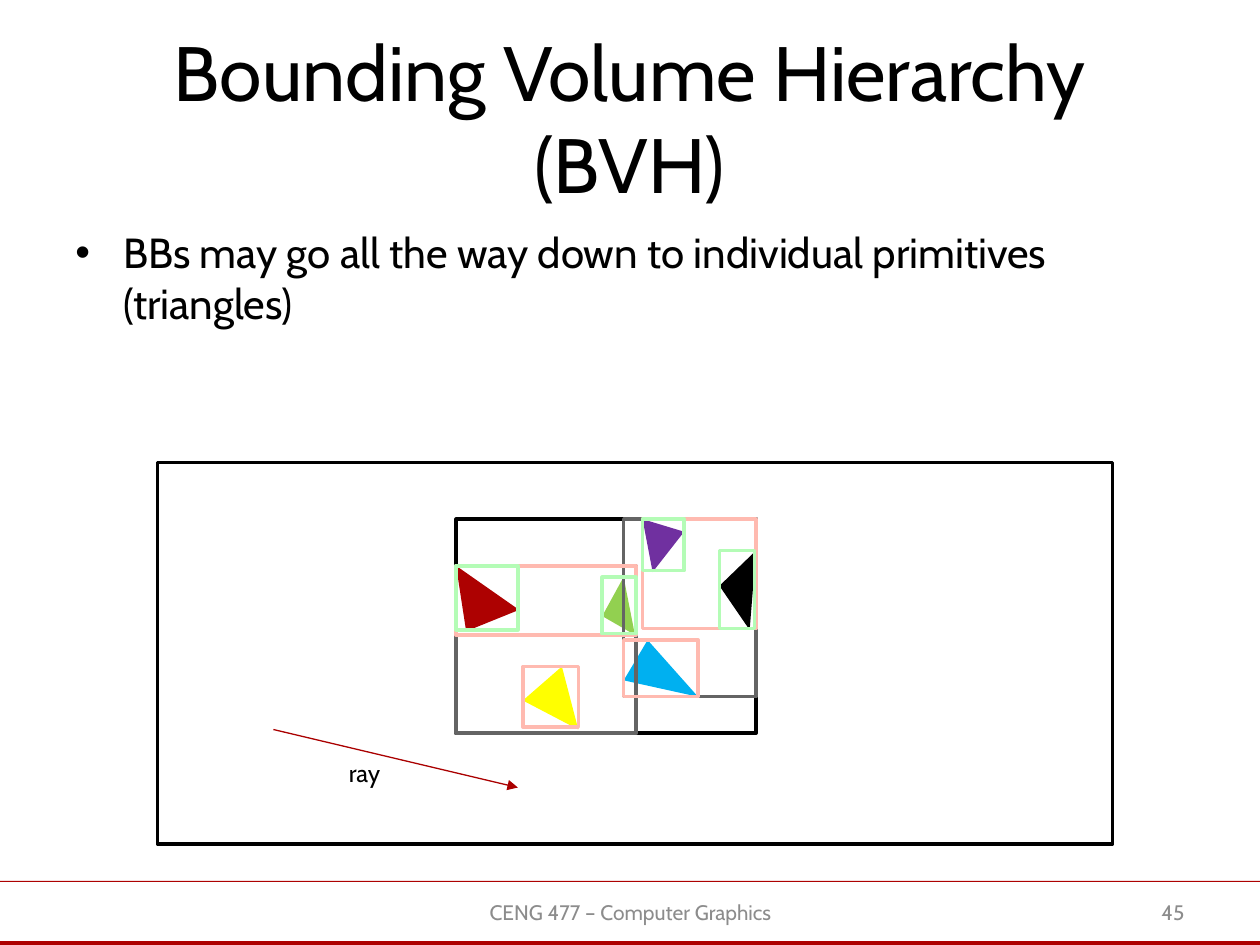
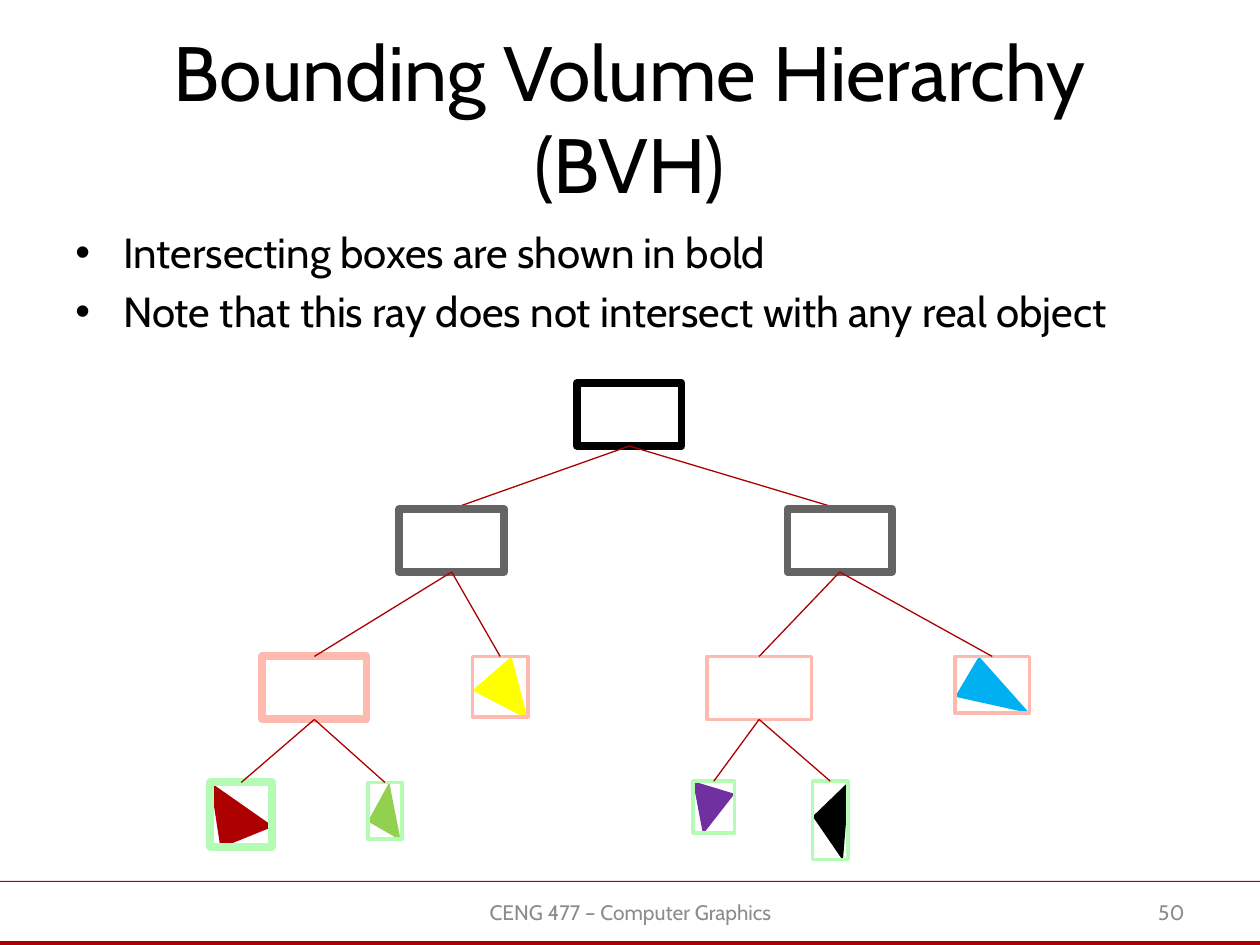
import pptx
import pptx.dml.color
import pptx.enum.shapes
import pptx.enum.text
import pptx.oxml
import pptx.oxml.ns
import pptx.shapes.connector
import pptx.util

Inches = pptx.util.Inches
Pt = pptx.util.Pt
RECT = pptx.enum.shapes.MSO_SHAPE.RECTANGLE
STRAIGHT = pptx.enum.shapes.MSO_CONNECTOR.STRAIGHT
ALIGN = pptx.enum.text.PP_ALIGN
ANCHOR = pptx.enum.text.MSO_ANCHOR

FONT = "Cabin"
BLACK, GRAY, PINK, GREEN = "000000", "646464", "FFBAB0", "B4FCB6"
BAND, LINE, FOOTER = "AD0101", "AA0000", "8C8C8C"
A_NS = 'xmlns:a="http://schemas.openxmlformats.org/drawingml/2006/main"'


def rgb(value):
    return pptx.dml.color.RGBColor.from_string(value)


def add_text(s, text, box, size, color=BLACK, align=ALIGN.LEFT,
             anchor=ANCHOR.TOP, wrap=True, bullet=False):
    tf = s.shapes.add_textbox(*map(Inches, box)).text_frame
    tf.word_wrap = wrap
    tf.auto_size = pptx.enum.text.MSO_AUTO_SIZE.NONE
    tf.vertical_anchor = anchor
    for i, line in enumerate(text.split("\n")):
        p = tf.paragraphs[0] if i == 0 else tf.add_paragraph()
        p.alignment = align
        if i:
            p.space_before = Pt(size * 0.2)
        if bullet:
            pPr = p._p.get_or_add_pPr()
            pPr.set("marL", str(Inches(0.38)))
            pPr.set("indent", str(Inches(-0.38)))
            pPr.append(pptx.oxml.parse_xml(f'<a:buFont {A_NS} typeface="Arial"/>'))
            pPr.append(pptx.oxml.parse_xml(f'<a:buChar {A_NS} char="•"/>'))
        r = p.add_run()
        r.text = line
        r.font.name = FONT
        r.font.size = Pt(size)
        r.font.color.rgb = rgb(color)


# Primitives: box width, height, box colour, triangle colour, corners from box corner
leaves = {
    "yellow": (0.44, 0.48, PINK, "FFFF00", [(0.31, 0), (0, 0.27), (0.44, 0.5)]),
    "blue": (0.59, 0.45, PINK, "00B0F0", [(0.19, 0), (0, 0.32), (0.59, 0.45)]),
    "red": (0.49, 0.51, GREEN, BAND, [(0.08, 0.52), (0, 0), (0.5, 0.35)]),
    "green": (0.27, 0.45, GREEN, "92D050", [(0.17, 0), (0, 0.31), (0.26, 0.46)]),
    "black": (0.28, 0.62, GREEN, BLACK, [(0.29, 0), (0, 0.28), (0.24, 0.63)]),
    "purple": (0.33, 0.41, GREEN, "7030A0", [(0, 0), (0.08, 0.42), (0.33, 0.1)]),
}

# Nested boxes in the scene: name, x, y, w, h, colour, line width, parent to join
scene_boxes = [
    ("root", 3.62, 4.12, 2.38, 1.7, BLACK, 2, None),
    ("left", 3.62, 4.49, 1.43, 1.33, GRAY, 2, None),
    ("right", 4.95, 4.12, 1.05, 1.41, GRAY, 2, None),
    ("left pair", 3.62, 4.49, 1.43, 0.55, PINK, 2, None),
    ("right pair", 5.1, 4.12, 0.9, 0.87, PINK, 2, None),
]
# Where each primitive sits: x, y, line width, parent to join
scene_leaves = {
    "yellow": (4.15, 5.29, 2, None), "blue": (4.95, 5.08, 2, None),
    "red": (3.62, 4.49, 2, None), "green": (4.78, 4.58, 2, None),
    "black": (5.71, 4.37, 2, None), "purple": (5.1, 4.12, 2, None),
}

# The same hierarchy as a tree, hit boxes with thick lines
tree_boxes = [
    ("root", 4.58, 3.04, 0.83, 0.5, BLACK, 4.5, None),
    ("left", 3.17, 4.04, 0.83, 0.5, GRAY, 4.5, "root"),
    ("right", 6.25, 4.04, 0.83, 0.5, GRAY, 4.5, "root"),
    ("left pair", 2.08, 5.21, 0.83, 0.5, PINK, 4.5, "left"),
    ("right pair", 5.61, 5.21, 0.83, 0.5, PINK, 2, "right"),
]
tree_leaves = {
    "yellow": (3.75, 5.21, 2, "left"), "blue": (7.58, 5.21, 2, "right"),
    "red": (1.67, 6.21, 4.5, "left pair"), "green": (2.92, 6.21, 2, "left pair"),
    "black": (6.45, 6.2, 2, "right pair"), "purple": (5.5, 6.2, 2, "right pair"),
}

pages = [
    ("45", "BBs may go all the way down to individual primitives (triangles)",
     scene_boxes, scene_leaves),
    ("50", "Intersecting boxes are shown in bold\n"
     "Note that this ray does not intersect with any real object",
     tree_boxes, tree_leaves),
]

prs = pptx.Presentation()
prs.slide_width, prs.slide_height = Inches(10), Inches(7.5)

for number, bullets, boxes, spots in pages:
    s = prs.slides.add_slide(prs.slide_layouts[6])
    styled = []  # shape, fill, line colour, line width

    # Bands, title, body and footer
    for y, h in [(6.99, 0.01), (7.47, 0.03)]:
        sp = s.shapes.add_shape(RECT, 0, Inches(y), Inches(10), Inches(h))
        styled.append((sp, BAND, None, 0))
    add_text(s, "Bounding Volume Hierarchy (BVH)", (0.5, 0.3, 9, 1.25), 44,
             align=ALIGN.CENTER, anchor=ANCHOR.MIDDLE)
    add_text(s, bullets, (0.5, 1.75, 9, 4.95), 24, bullet=True)
    add_text(s, "CENG 477 – Computer Graphics", (3.42, 7.04, 3.17, 0.4), 12,
             color=FOOTER, align=ALIGN.CENTER, anchor=ANCHOR.MIDDLE)
    add_text(s, number, (7.17, 7.04, 2.33, 0.4), 12,
             color=FOOTER, align=ALIGN.RIGHT, anchor=ANCHOR.MIDDLE)

    # Scene frame and ray
    if boxes is scene_boxes:
        sp = s.shapes.add_shape(RECT, *map(Inches, (1.25, 3.67, 7.58, 3.03)))
        styled.append((sp, "FFFFFF", BLACK, 2))
        ray = s.shapes.add_connector(STRAIGHT, *map(Inches, (2.17, 5.79, 4.11, 6.25)))
        ray.line.color.rgb = rgb(LINE)
        ray.line._get_or_add_ln().append(
            pptx.oxml.parse_xml(f'<a:tailEnd {A_NS} type="triangle"/>'))
        add_text(s, "ray", (2.67, 5.97, 0.47, 0.34), 14, wrap=False)

    # Triangles
    for name, (x, y, width, parent) in spots.items():
        fill, corners = leaves[name][3:]
        points = [(Inches(x + dx), Inches(y + dy)) for dx, dy in corners]
        fb = s.shapes.build_freeform(*points[0])
        fb.add_line_segments(points[1:], close=True)
        styled.append((fb.convert_to_shape(), fill, None, 0))

    # Bounding boxes, each joined to its parent
    leaf_boxes = [(name, x, y, *leaves[name][:3], width, parent)
                  for name, (x, y, width, parent) in spots.items()]
    drawn = {}
    joins = []
    for name, x, y, w, h, color, width, parent in boxes + leaf_boxes:
        drawn[name] = s.shapes.add_shape(RECT, *map(Inches, (x, y, w, h)))
        styled.append((drawn[name], None, color, width))
        if parent:
            joins.append((parent, name))
    for parent, name in joins:
        c = s.shapes.add_connector(STRAIGHT, 0, 0, 0, 0)
        c.begin_connect(drawn[parent], 2)
        c.end_connect(drawn[name], 0)
        if parent == "root":  # top branches pass under the boxes they reach
            drawn["left"]._element.addprevious(c._element)

    # Fills and lines
    for sp, fill, line, width in styled:
        sp.shadow.inherit = False
        if fill:
            sp.fill.solid()
            sp.fill.fore_color.rgb = rgb(fill)
        else:
            sp.fill.background()
        if line:
            sp.line.color.rgb = rgb(line)
            sp.line.width = Pt(width)
        else:
            sp.line.fill.background()
    for c in s.shapes:
        if isinstance(c, pptx.shapes.connector.Connector):
            c.line.color.rgb = rgb(LINE)
            c.line.width = Pt(0.75)
            c._element.spPr.append(pptx.oxml.parse_xml(f"<a:effectLst {A_NS}/>"))

prs.save("out.pptx")
